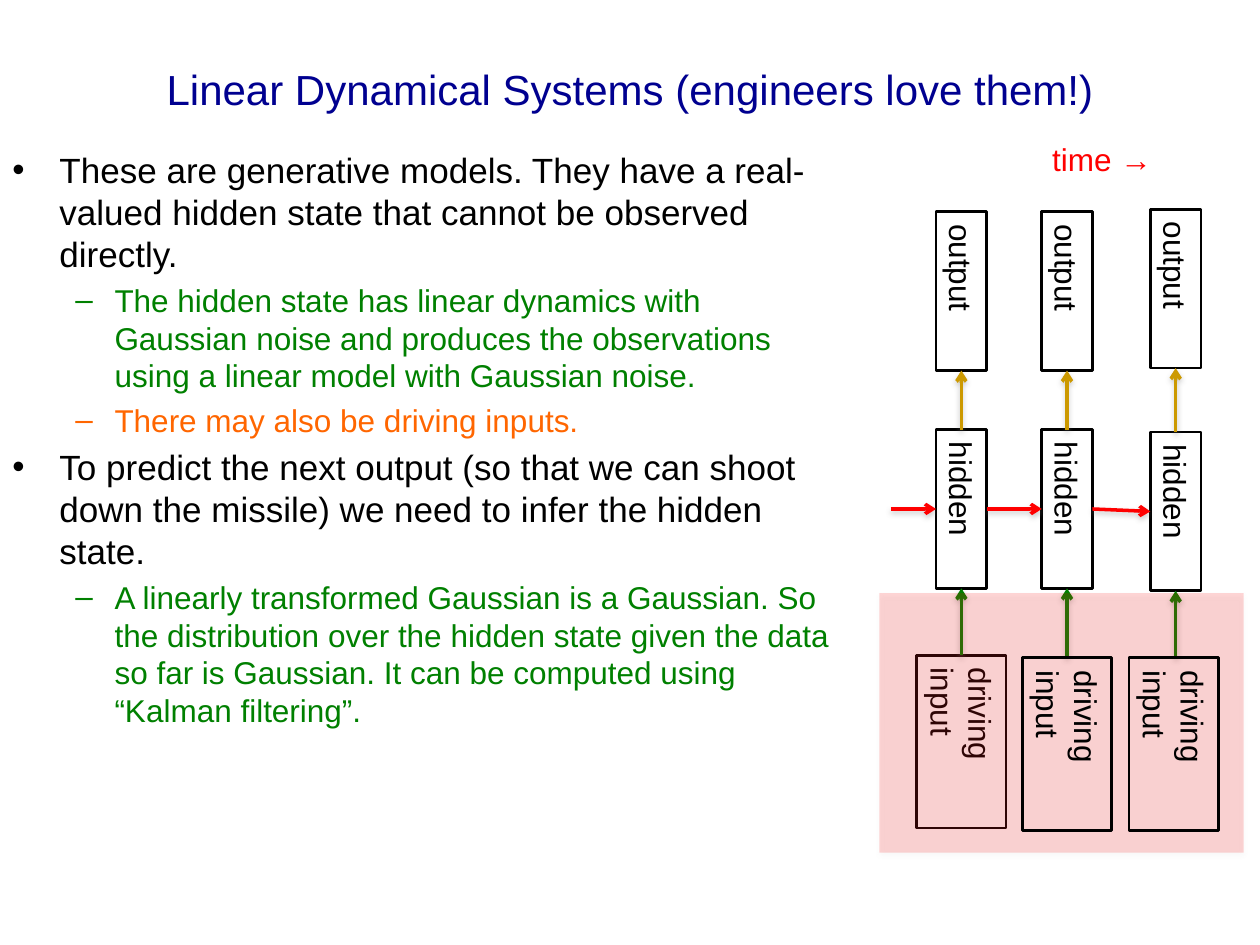
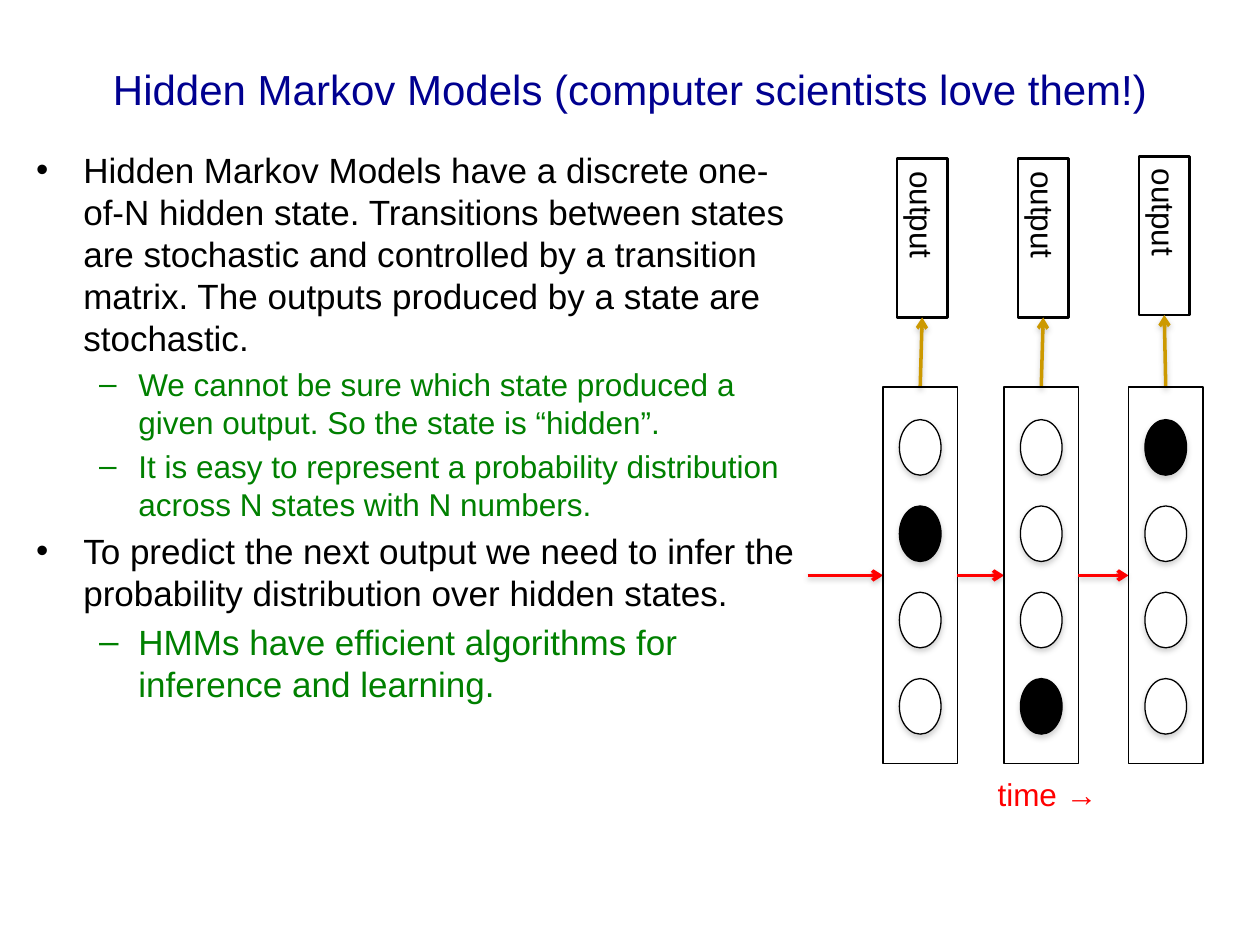
from lxml import etree
from pptx import Presentation
from pptx import util as u
from pptx.dml.color import RGBColor
from pptx.enum import shapes, text
from pptx.oxml import ns

NAVY = RGBColor(0x00, 0x00, 0x90)
BLACK = RGBColor(0x00, 0x00, 0x00)
WHITE = RGBColor(0xFF, 0xFF, 0xFF)
GREEN = RGBColor(0x00, 0x80, 0x00)
ORANGE = RGBColor(0xFF, 0x66, 0x00)
RED = RGBColor(0xFF, 0x00, 0x00)
GOLD = RGBColor(0xCC, 0x99, 0x00)
GREY = RGBColor(0x80, 0x80, 0x80)

FONT = "Arial"
RECT = shapes.MSO_SHAPE.RECTANGLE
OVAL = shapes.MSO_SHAPE.OVAL
TITLE_BOX = (1.27, 0.2, 22.86, 3.18)
LABEL_LENGTH, LABEL_BREADTH = 3.2, 1.02   # upright output and hidden boxes
INPUT_LENGTH, INPUT_BREADTH = 3.48, 1.8   # upright driving input boxes
STATE_LENGTH, STATE_BREADTH = 7.59, 1.5   # columns of discrete states
INDENTS = {0: (0.95, -0.95), 1: (2.06, -0.79)}
BULLETS = {0: "•", 1: "–"}


# Shared helpers
def set_all(target, **values):
    for name, value in values.items():
        setattr(target, name, value)


def add_child(parent, tag, **attributes):
    child = etree.SubElement(parent, ns.qn(tag))
    for name, value in attributes.items():
        child.set(name, str(value))
    return child


def write(paragraph, words, size, color):
    run = paragraph.add_run()
    run.text = words
    set_all(run.font, name=FONT, size=u.Pt(size))
    run.font.color.rgb = color


def add_text_frame(slide, box):
    frame = slide.shapes.add_textbox(*map(u.Cm, box)).text_frame
    frame.word_wrap = True
    return frame


def cast_shadow(part, opacity):
    """Soft grey shadow just below a part; call once its line is set."""
    properties = part.element.spPr
    for old in properties.findall(ns.qn("a:effectLst")):
        properties.remove(old)
    shadow = add_child(add_child(properties, "a:effectLst"), "a:outerShdw",
                       blurRad=u.Pt(3.1), dist=u.Pt(1.7), dir=5400000,
                       rotWithShape=0)
    color = add_child(shadow, "a:srgbClr", val=GREY)
    add_child(color, "a:alpha", val=opacity * 1000)


def add_arrow(slide, start, end, color):
    arrow = slide.shapes.add_connector(
        shapes.MSO_CONNECTOR.STRAIGHT, *map(u.Cm, (*start, *end)))
    arrow.line.color.rgb = color
    arrow.line.width = u.Pt(2)
    add_child(arrow.element.spPr.find(ns.qn("a:ln")), "a:tailEnd", type="arrow")
    cast_shadow(arrow, 38)


def add_upright(slide, kind, center, length, breadth, label="", fill=None, line=1.5):
    """Shape turned a quarter, so that its text reads downwards."""
    x, y = center
    part = slide.shapes.add_shape(kind, *map(
        u.Cm, (x - length / 2, y - breadth / 2, length, breadth)))
    part.rotation = 90
    part.shadow.inherit = False
    if fill is None:
        part.fill.background()
    else:
        part.fill.solid()
        part.fill.fore_color.rgb = fill
    part.line.color.rgb = BLACK
    part.line.width = u.Pt(line)
    if label:
        set_all(part.text_frame, word_wrap=True,
                vertical_anchor=text.MSO_ANCHOR.TOP)
        paragraph = part.text_frame.paragraphs[0]
        paragraph.alignment = text.PP_ALIGN.LEFT
        write(paragraph, label, 18, BLACK)
    return part


# Regions
def add_title(slide, words):
    frame = add_text_frame(slide, TITLE_BOX)
    frame.vertical_anchor = text.MSO_ANCHOR.MIDDLE
    paragraph = frame.paragraphs[0]
    paragraph.alignment = text.PP_ALIGN.CENTER
    write(paragraph, words, 24, NAVY)


def add_outline(slide, box, points):
    frame = add_text_frame(slide, box)
    for number, (level, size, color, words) in enumerate(points):
        paragraph = frame.add_paragraph() if number else frame.paragraphs[0]
        set_all(paragraph, level=level, space_before=u.Pt(size * 0.2))
        write(paragraph, words, size, color)
        properties = paragraph._p.get_or_add_pPr()
        for name, value in zip(("marL", "indent"), INDENTS[level]):
            properties.set(name, str(u.Cm(value)))
        add_child(properties, "a:buFont", typeface=FONT)
        add_child(properties, "a:buChar", char=BULLETS[level])


def add_time_label(slide, left, top):
    frame = add_text_frame(slide, (left, top, 3.99, 1.02))
    write(frame.paragraphs[0], "time →", 18, RED)


def add_input_tint(slide, box):
    tint = slide.shapes.add_shape(RECT, *map(u.Cm, box))
    tint.fill.solid()
    tint.fill.fore_color.rgb = RED
    color = tint.element.spPr.find(ns.qn("a:solidFill"))[0]
    add_child(color, "a:alpha", val=16000)
    tint.line.fill.background()
    cast_shadow(tint, 35)


def add_linear_system(slide, box):
    left, top, width, height = box
    # Centres of the boxes at each time step
    steps = [
        {"output": (1.65, 3.18), "hidden": (1.65, 7.57), "driving": (1.65, 12.26)},
        {"output": (3.78, 3.18), "hidden": (3.78, 7.57), "driving": (3.78, 12.31)},
        {"output": (5.97, 3.13), "hidden": (5.97, 7.62), "driving": (5.93, 12.31)},
    ]
    steps = [{role: (left + x, top + y) for role, (x, y) in step.items()}
             for step in steps]

    def add_input(step):
        add_upright(slide, RECT, step["driving"], INPUT_LENGTH, INPUT_BREADTH,
                    "driving input")

    add_input(steps[0])
    source = (left + 0.23, steps[0]["hidden"][1])
    half, reach = LABEL_BREADTH / 2, LABEL_LENGTH / 2
    for step in steps:
        for role in ("hidden", "output"):
            add_upright(slide, RECT, step[role], LABEL_LENGTH, LABEL_BREADTH, role)
        x, y = step["hidden"]
        add_arrow(slide, source, (x - half, y), RED)
        add_arrow(slide, (x, y - reach), (x, step["output"][1] + reach), GOLD)
        add_arrow(slide, (x, step["driving"][1] - INPUT_LENGTH / 2),
                  (x, y + reach), GREEN)
        source = (x + half, y)
    add_time_label(slide, left + 3.23, top)
    # The tint covers the first input only
    add_input_tint(slide, (left, top + 9.27, width, height - 9.27))
    for step in steps[1:]:
        add_input(step)


def add_markov_model(slide, box):
    left, top, _, height = box
    middle = top + 7.6
    # Output centre, state column centre, active state
    steps = [((2.31, 0.8), 2.27, 1), ((4.75, 0.8), 4.71, 3), ((7.19, 0.75), 7.22, 0)]
    source = (left, middle)
    for (output_x, output_y), state_x, active in steps:
        output, x = (left + output_x, top + output_y), left + state_x
        add_upright(slide, RECT, output, LABEL_LENGTH, LABEL_BREADTH, "output")
        add_arrow(slide, source, (x - STATE_BREADTH / 2, middle), RED)
        add_arrow(slide, (x, middle - STATE_LENGTH / 2),
                  (output[0], output[1] + LABEL_LENGTH / 2), GOLD)
        add_upright(slide, RECT, (x, middle), STATE_LENGTH, STATE_BREADTH, line=0.75)
        for state in range(4):
            oval = add_upright(slide, OVAL, (x, top + 5.02 + 1.74 * state), 1.12, 0.84,
                               fill=BLACK if state == active else WHITE, line=0.75)
            cast_shadow(oval, 35)
        source = (x + STATE_BREADTH / 2, middle)
    add_time_label(slide, left + 3.58, top + height - 1.02)


# Slides
def build_slide(deck, title, outline_box, points, add_diagram, diagram_box):
    slide = deck.slides.add_slide(deck.slide_layouts[6])
    add_title(slide, title)
    add_outline(slide, outline_box, points)
    add_diagram(slide, diagram_box)


def main():
    deck = Presentation()
    set_all(deck, slide_width=u.Cm(25.4), slide_height=u.Cm(19.05))
    build_slide(
        deck, "Linear Dynamical Systems (engineers love them!)",
        (0, 2.87, 17.12, 15.06),
        [(0, 20, BLACK, "These are generative models. They have a real-valued hidden "
                        "state that cannot be observed directly."),
         (1, 18, GREEN, "The hidden state has linear dynamics with Gaussian noise and "
                        "produces the observations using a linear model with "
                        "Gaussian noise."),
         (1, 18, ORANGE, "There may also be driving inputs."),
         (0, 20, BLACK, "To predict the next output (so that we can shoot down the "
                        "missile) we need to infer the hidden state."),
         (1, 18, GREEN, "A linearly transformed Gaussian is a Gaussian. So the "
                        "distribution over the hidden state given the data so far is "
                        "Gaussian. It can be computed using “Kalman filtering”.")],
        add_linear_system, (17.73, 2.69, 7.34, 14.5))
    build_slide(
        deck, "Hidden Markov Models (computer scientists love them!)",
        (0.48, 2.87, 15.8, 15.06),
        [(0, 20, BLACK, "Hidden Markov Models have a discrete one-of-N hidden state. "
                        "Transitions between states are stochastic and controlled by "
                        "a transition matrix. The outputs produced by a state are "
                        "stochastic."),
         (1, 18, GREEN, "We cannot be sure which state produced a given output. So "
                        "the state is “hidden”."),
         (1, 18, GREEN, "It is easy to represent a probability distribution across N "
                        "states with N numbers."),
         (0, 20, BLACK, "To predict the next output we need to infer the probability "
                        "distribution over hidden states."),
         (1, 20, GREEN, "HMMs have efficient algorithms for inference and learning.")],
        add_markov_model, (16.28, 4, 8, 12.51))
    deck.save("out.pptx")


if __name__ == "__main__":
    main()
